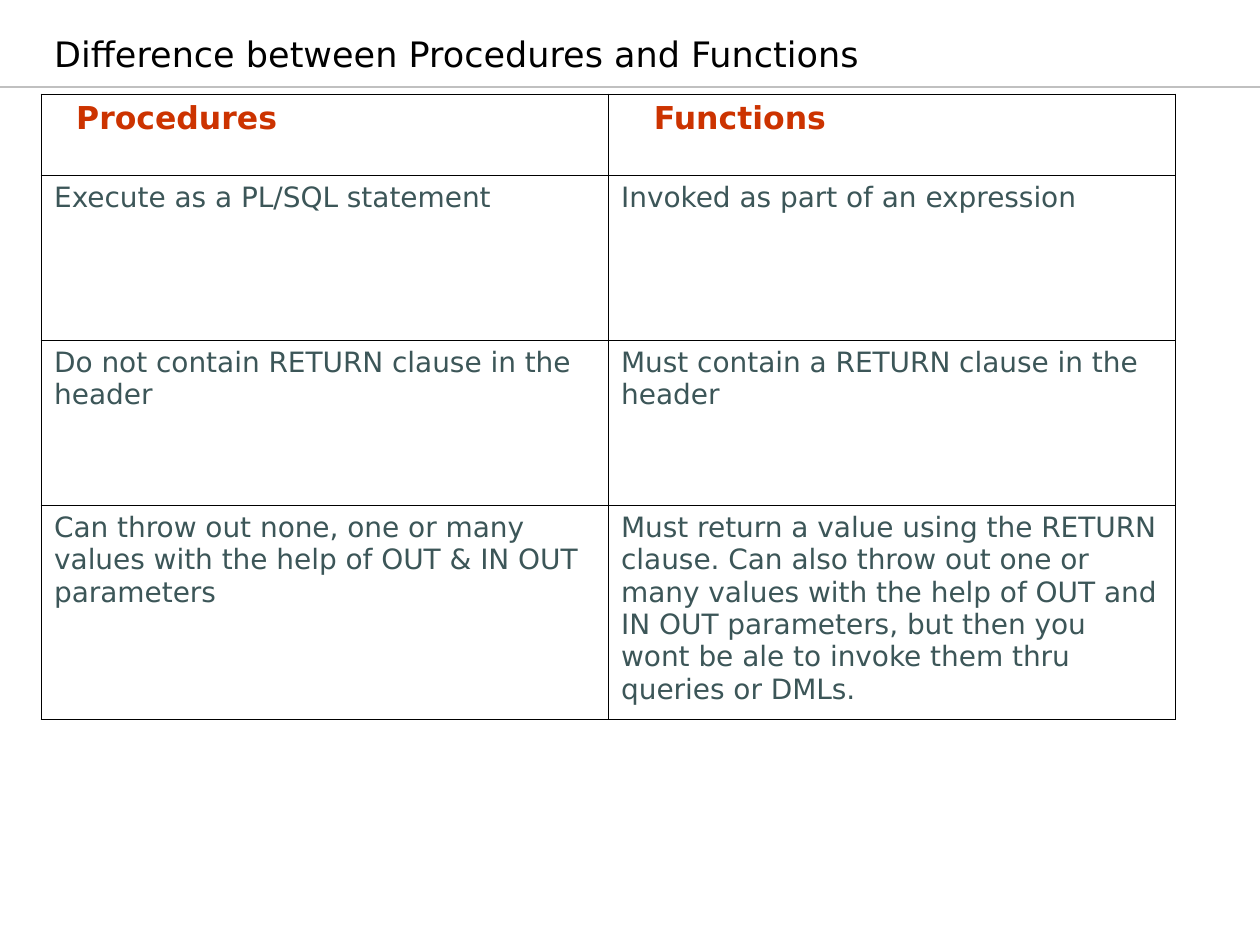
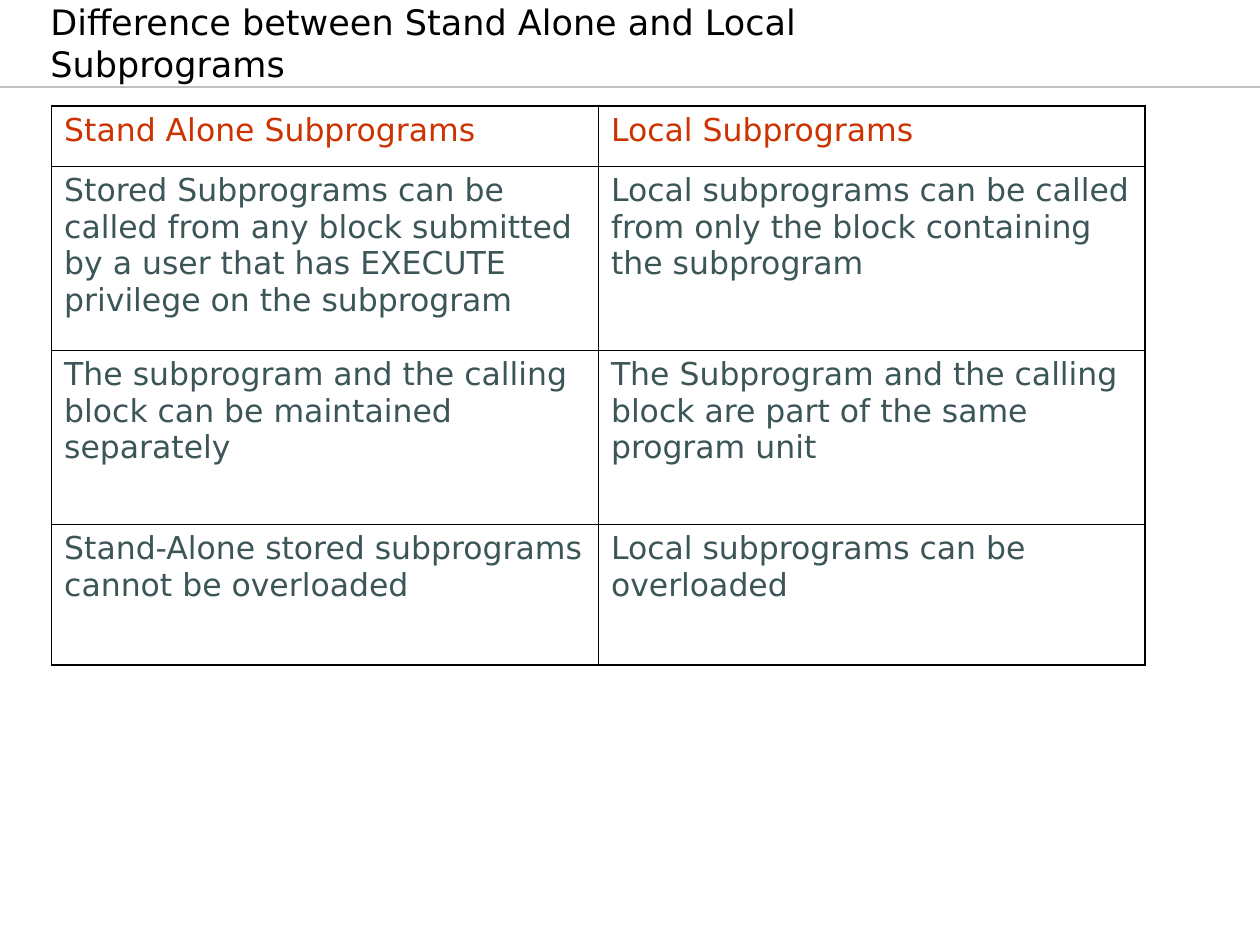
"""Build two slides that compare kinds of subprograms in tables."""
from dataclasses import dataclass

from lxml import etree
from pptx import Presentation
from pptx.dml.color import RGBColor
from pptx.enum.shapes import MSO_CONNECTOR
from pptx.enum.text import MSO_ANCHOR, MSO_AUTO_SIZE, PP_ALIGN
from pptx.oxml.ns import qn
from pptx.util import Inches, Pt

STRAIGHT = MSO_CONNECTOR.STRAIGHT
BOTTOM = MSO_ANCHOR.BOTTOM
TOP = MSO_ANCHOR.TOP
NO_FIT = MSO_AUTO_SIZE.NONE
LEFT = PP_ALIGN.LEFT
COLS, ROWS = 100, 75
TITLE_ONLY = 5


@dataclass(frozen=True)
class Theme:
    font: str = "DejaVu Sans"
    ink: str = "000000"
    head: str = "CC3300"
    body: str = "3C5658"
    rule: str = "C0C0C0"
    title_size: float = 20
    head_size: float = 18
    rule_width: float = 0.75
    outer: float = 1.08
    inner: float = 0.45


@dataclass(frozen=True)
class Page:
    title: str
    title_left: float
    title_top: float
    left: float
    top: float
    col: float
    heights: tuple[float, ...]
    rows: tuple[tuple[str, str], ...]
    body_size: float
    bold_head: bool = False
    indents: tuple[float, float] = (0, 0)


THEME = Theme()
PAGES = (
    Page(
        "Difference between Procedures and Functions",
        0.3, 1.7, 3.3, 7.5, 45, (6.4, 13.1, 13.1, 17),
        (
            ("Procedures", "Functions"),
            ("Execute as a PL/SQL statement", "Invoked as part of an expression"),
            ("Do not contain RETURN clause in the header",
             "Must contain a RETURN clause in the header"),
            ("Can throw out none, one or many values with the help of "
             "OUT & IN OUT parameters",
             "Must return a value using the RETURN clause. Can also throw out "
             "one or many values with the help of OUT and IN OUT parameters, "
             "but then you wont be ale to invoke them thru queries or DMLs."),
        ),
        16, True, (1.75, 2.6),
    ),
    Page(
        "Difference between Stand Alone and Local Subprograms",
        0, 2.5, 4.1, 8.4, 43.4, (4.8, 14.6, 13.8, 11.2),
        (
            ("Stand Alone Subprograms", "Local Subprograms"),
            ("Stored Subprograms can be called from any block submitted by a "
             "user that has EXECUTE privilege on the subprogram",
             "Local subprograms can be called from only the block containing "
             "the subprogram"),
            ("The subprogram and the calling block can be maintained separately",
             "The Subprogram and the calling block are part of the same "
             "program unit"),
            ("Stand-Alone stored subprograms cannot be overloaded",
             "Local subprograms can be overloaded"),
        ),
        18,
    ),
)


def grid(count: float) -> int:
    """Turn a count of grid units into a length."""
    return Inches(count * 10 / COLS)


def style(part, size: float, color: str, bold: bool = False) -> None:
    """Format the runs of one paragraph."""
    part.alignment = LEFT
    for run in part.runs:
        run.font.name = THEME.font
        run.font.size = Pt(size)
        run.font.bold = bold
        run.font.color.rgb = RGBColor.from_string(color)


def add_title(slide, page: Page) -> None:
    """Place and format the title."""
    title = slide.shapes.title
    title.left, title.top = grid(page.title_left), grid(page.title_top)
    title.width, title.height = grid(73.1), grid(4.7)
    frame = title.text_frame
    frame.text = page.title
    frame.word_wrap = True
    frame.auto_size = NO_FIT
    frame.vertical_anchor = BOTTOM
    frame.margin_left, frame.margin_right = grid(4), grid(1)
    frame.margin_top = frame.margin_bottom = grid(0.5)
    style(frame.paragraphs[0], THEME.title_size, THEME.ink)


def add_rule(slide) -> None:
    """Draw the line below the title."""
    rule = slide.shapes.add_connector(
        STRAIGHT, 0, grid(6.9), grid(COLS), grid(6.9))
    rule.line.color.rgb = RGBColor.from_string(THEME.rule)
    rule.line.width = Pt(THEME.rule_width)
    etree.SubElement(rule.element.spPr, qn("a:effectLst"))


def add_edge(cell, side: str, width: float) -> None:
    """Draw one border of a cell."""
    props = cell._tc.get_or_add_tcPr()
    edge = etree.SubElement(props, qn(f"a:ln{side}"), w=str(Pt(width)))
    fill = etree.SubElement(edge, qn("a:solidFill"))
    etree.SubElement(fill, qn("a:srgbClr"), val=THEME.ink)


def fill_cell(cell, page: Page, row: int, col: int) -> None:
    """Write, format and frame one cell."""
    is_head = row == 0
    size = THEME.head_size if is_head else page.body_size
    cell.text_frame.text = page.rows[row][col]
    part = cell.text_frame.paragraphs[0]
    part.space_before = Pt(size / 4)
    style(part, size, THEME.head if is_head else THEME.body,
          is_head and page.bold_head)
    cell.vertical_anchor = TOP
    cell.margin_left = grid(1 + (page.indents[col] if is_head else 0))
    cell.margin_right = grid(1)
    cell.margin_top = cell.margin_bottom = grid(0.5)
    edges = {"L": col == 0, "R": col == len(page.rows[0]) - 1,
             "T": is_head, "B": row == len(page.rows) - 1}
    for side, is_outer in edges.items():
        add_edge(cell, side, THEME.outer if is_outer else THEME.inner)
    cell.fill.background()


def add_grid(slide, page: Page) -> None:
    """Add the table that compares both kinds."""
    count = len(page.rows[0])
    table = slide.shapes.add_table(
        len(page.rows), count, grid(page.left), grid(page.top),
        grid(page.col * count), grid(sum(page.heights))).table
    table.first_row = table.horz_banding = False
    for col in table.columns:
        col.width = grid(page.col)
    for row, height in enumerate(page.heights):
        table.rows[row].height = grid(height)
        for col in range(count):
            fill_cell(table.cell(row, col), page, row, col)


def main() -> None:
    """Build and save the deck."""
    deck = Presentation()
    deck.slide_width, deck.slide_height = grid(COLS), grid(ROWS)
    for page in PAGES:
        slide = deck.slides.add_slide(deck.slide_layouts[TITLE_ONLY])
        add_rule(slide)
        add_title(slide, page)
        add_grid(slide, page)
    deck.save("out.pptx")


if __name__ == "__main__":
    main()
